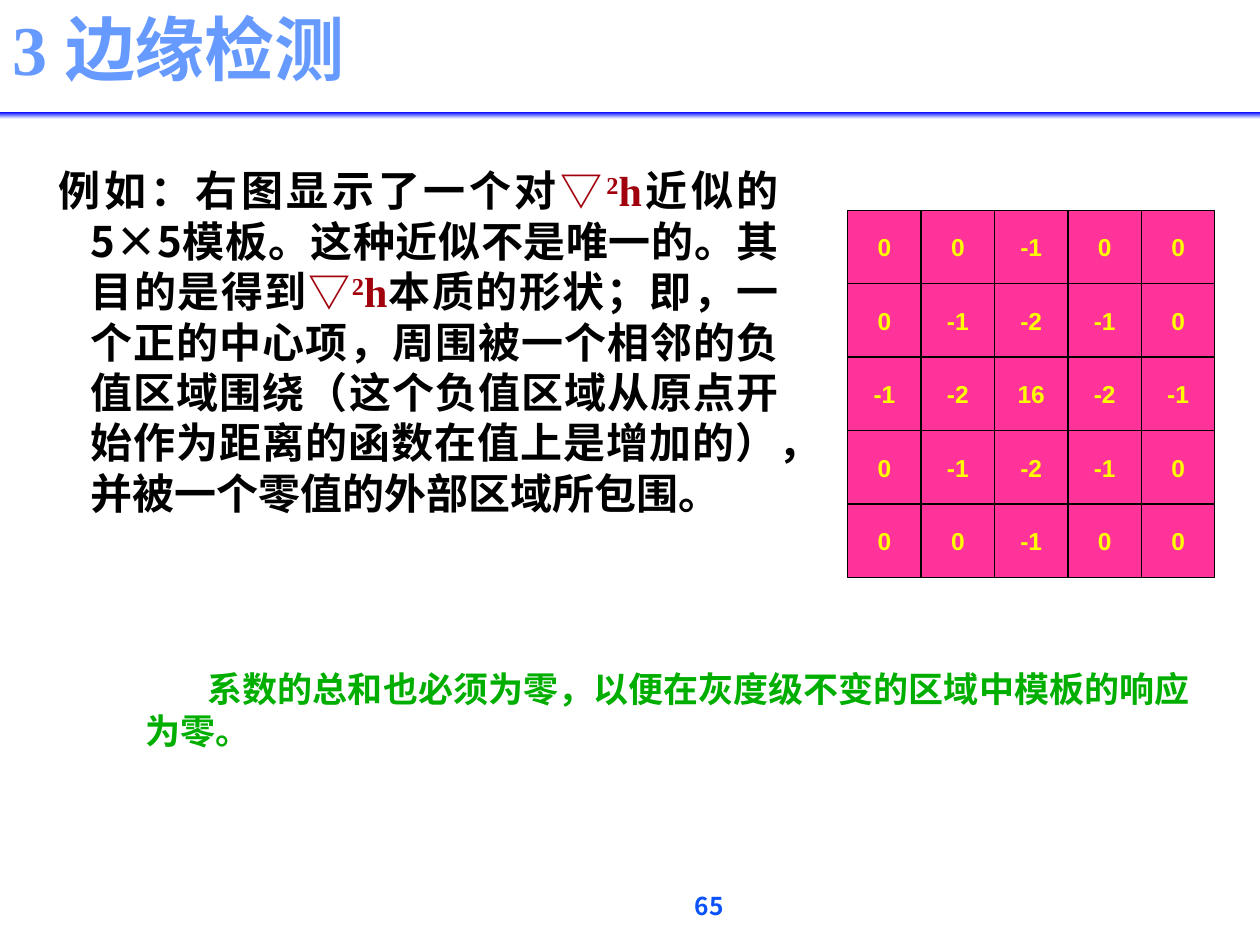
from copy import deepcopy

from pptx import Presentation
from pptx.dml.color import RGBColor
from pptx.enum.shapes import MSO_SHAPE
from pptx.enum.text import MSO_ANCHOR, MSO_AUTO_SIZE, PP_ALIGN
from pptx.oxml.ns import qn
from pptx.util import Cm, Pt

# Content: each run is text, font, colour, and optional superscript
CHINESE, SERIF, SANS = "Noto Sans CJK SC", "Times New Roman", "Arial"
BLACK, RED, BLUE, GREEN = "000000", "A1010C", "679AFF", "00AE00"
LAPLACIAN = [("▽", SERIF, RED), ("2", SERIF, RED, True), ("h", SERIF, RED)]
TITLE = [("3 ", SERIF, BLUE), ("边缘检测", CHINESE, BLUE)]
EXAMPLE = [
    ("例如：右图显示了一个对", CHINESE, BLACK),
    *LAPLACIAN,
    ("近似的5×5模板。这种近似不是唯一的。其目的是得到", CHINESE, BLACK),
    *LAPLACIAN,
    ("本质的形状；即，一个正的中心项，周围被一个相邻的负值区域围绕"
     "（这个负值区域从原点开始作为距离的函数在值上是增加的），"
     "并被一个零值的外部区域所包围。", CHINESE, BLACK),
]
CONCLUSION = [("系数的总和也必须为零，以便在灰度级不变的区域中模板的响应为零。", SANS, GREEN)]
PAGE_NUMBER = [("65", CHINESE, "0B52FC")]
MASK = [
    [0, 0, -1, 0, 0],
    [0, -1, -2, -1, 0],
    [-1, -2, 16, -2, -1],
    [0, -1, -2, -1, 0],
    [0, 0, -1, 0, 0],
]
MASK_LEFT, MASK_TOP, CELL = 17.09, 4.24, 1.48
RULE_STOPS = [(0, "0000FF"), (0.89, "CCD6FF"), (1, "E6EBFF")]


def colour(value):
    return RGBColor.from_string(value)


def place(shape, left, top, width, height):
    shape.left, shape.top = Cm(left), Cm(top)
    shape.width, shape.height = Cm(width), Cm(height)


def write(shape, runs, size, indent=None, frame_format=None, **paragraph_format):
    frame = shape.text_frame
    frame_values = {"word_wrap": True, "auto_size": MSO_AUTO_SIZE.NONE, **(frame_format or {})}
    for name, value in frame_values.items():
        setattr(frame, name, value)
    paragraph = frame.paragraphs[0]
    for name, value in paragraph_format.items():
        setattr(paragraph, name, value)
    if indent:
        properties = paragraph._p.get_or_add_pPr()
        for name, value in zip(("marL", "indent"), indent):
            properties.set(name, str(Cm(value)))
    for text, font_name, font_colour, *superscript in runs:
        run = paragraph.add_run()
        run.text = text
        for name, value in {"name": font_name, "size": Pt(size), "bold": True}.items():
            setattr(run.font, name, value)
        run.font.color.rgb = colour(font_colour)
        properties = run._r.get_or_add_rPr()
        east_asian = properties.makeelement(qn("a:ea"), {})
        east_asian.set("typeface", CHINESE if font_name == SANS else font_name)
        properties.find(qn("a:latin")).addnext(east_asian)
        if superscript:
            properties.set("baseline", "30000")


def add_text(slide, box, runs, size, **options):
    shape = slide.shapes.add_textbox(*map(Cm, box))
    write(shape, runs, size, **options)


def add_rule(slide):
    rule = slide.shapes.add_shape(MSO_SHAPE.RECTANGLE, Cm(0), Cm(2.26), Cm(25.4), Cm(0.13))
    rule.shadow.inherit = False
    rule.line.fill.background()
    rule.fill.gradient()
    rule.fill.gradient_angle = 270
    stop_list = rule._element.spPr.find(qn("a:gradFill")).find(qn("a:gsLst"))
    stop_list.append(deepcopy(stop_list[-1]))
    for stop, (position, value) in zip(rule.fill.gradient_stops, RULE_STOPS):
        stop.position = position
        stop.color.rgb = colour(value)


def add_mask(slide):
    group = slide.shapes.add_group_shape()
    for row, values in enumerate(MASK):
        for column, value in enumerate(values):
            cell = group.shapes.add_shape(
                MSO_SHAPE.RECTANGLE, Cm(MASK_LEFT + column * CELL),
                Cm(MASK_TOP + row * CELL), Cm(CELL), Cm(CELL))
            cell.shadow.inherit = False
            cell.fill.solid()
            cell.fill.fore_color.rgb = colour("FF3399")
            cell.line.color.rgb = colour(BLACK)
            cell.line.width = Pt(0.75)
            write(cell, [(str(value), SANS, "FFFF00")], 14, alignment=PP_ALIGN.CENTER,
                  frame_format={"word_wrap": False, "vertical_anchor": MSO_ANCHOR.MIDDLE})


def main():
    presentation = Presentation()
    presentation.slide_width, presentation.slide_height = Cm(25.4), Cm(19.05)
    slide = presentation.slides.add_slide(presentation.slide_layouts[5])

    # Title and the rule under it
    add_rule(slide)
    title = slide.shapes.title
    place(title, 0, 0.18, 25.4, 1.78)
    write(title, TITLE, 40, alignment=PP_ALIGN.LEFT, line_spacing=0.9,
          frame_format={"vertical_anchor": MSO_ANCHOR.BOTTOM})

    # Explanation, mask and conclusion
    add_text(slide, (0.94, 3.2, 15.01, 8.81), EXAMPLE, 24, indent=(0.64, -0.64),
             alignment=PP_ALIGN.JUSTIFY, line_spacing=Pt(28.8))
    add_mask(slide)
    add_text(slide, (2.69, 13.34, 22.2, 3.25), CONCLUSION, 20, indent=(0, 1.25),
             line_spacing=Pt(24))

    # Page number
    add_text(slide, (7.87, 17.96, 12.85, 0.76), PAGE_NUMBER, 14,
             alignment=PP_ALIGN.CENTER, line_spacing=0.8)

    presentation.save("out.pptx")


if __name__ == "__main__":
    main()
